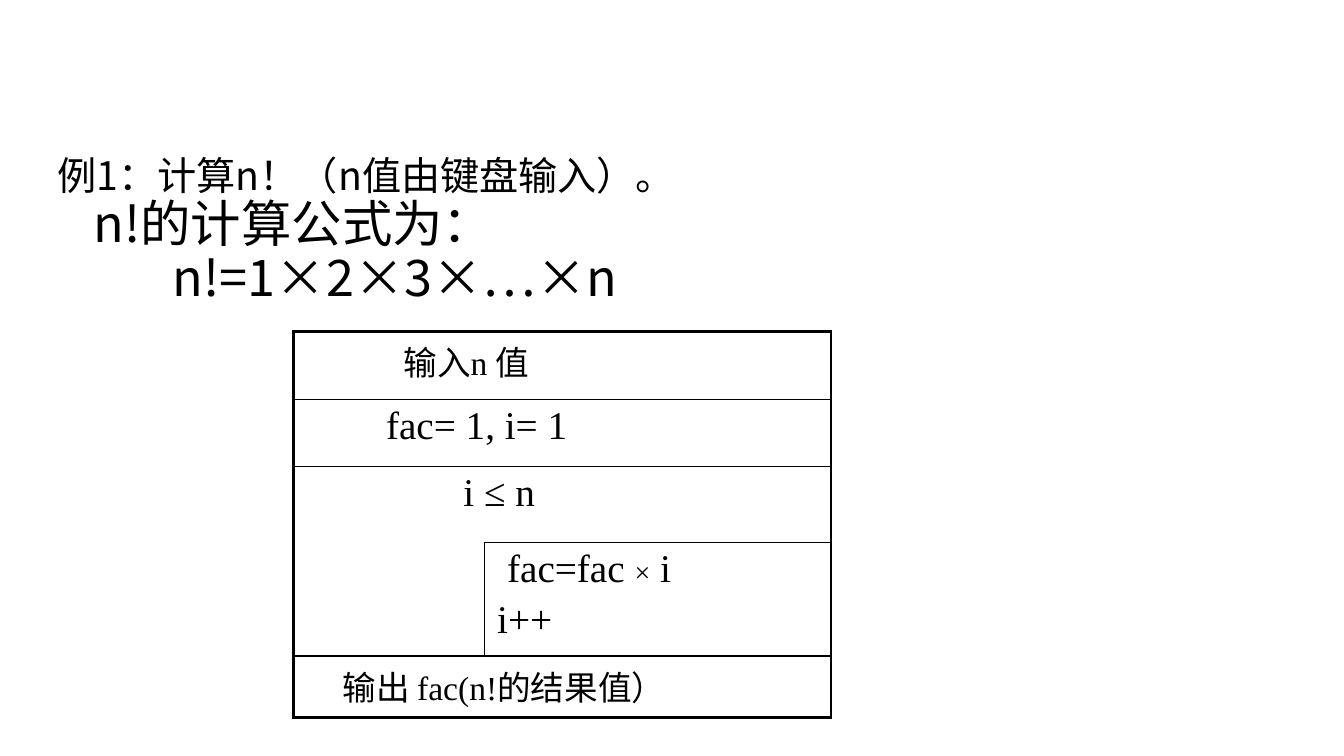
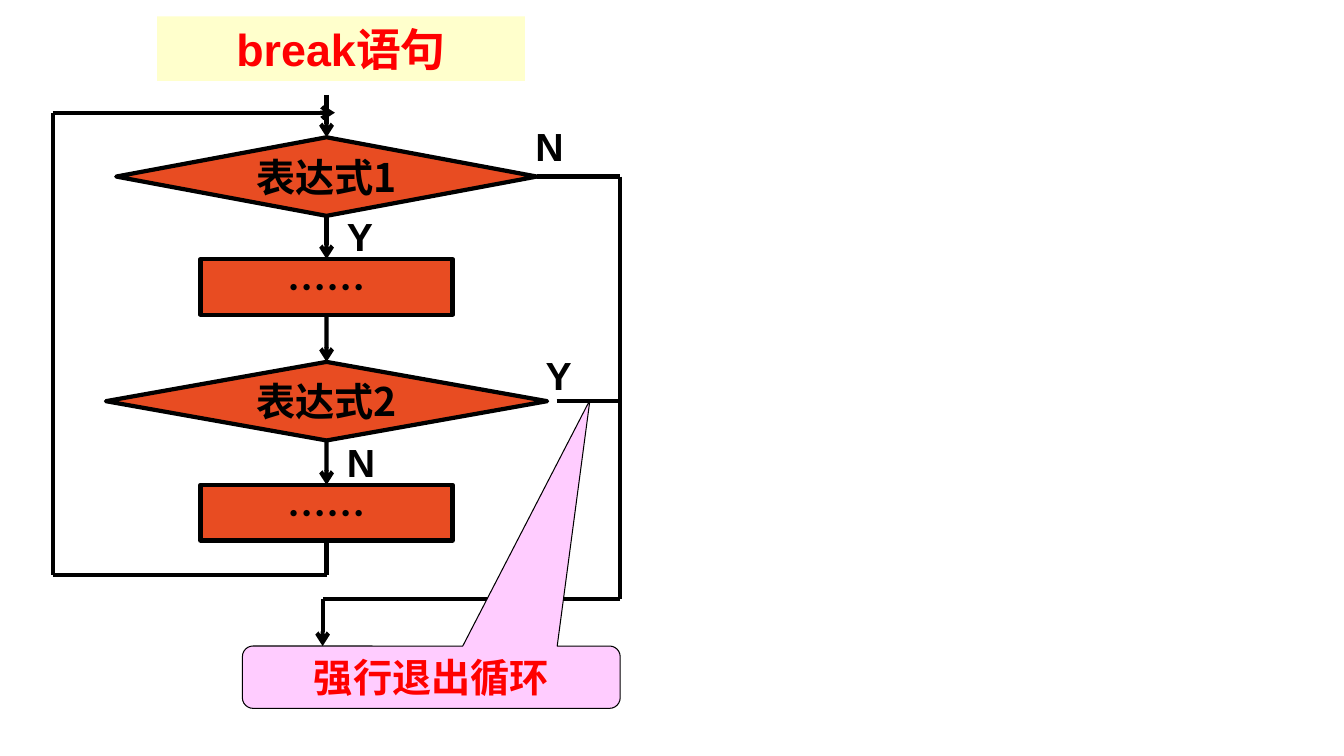
import pptx
import pptx.util
import pptx.dml.color
import pptx.enum.shapes
import pptx.enum.text
import pptx.oxml
import pptx.oxml.ns
import lxml.etree

Cm, Pt = pptx.util.Cm, pptx.util.Pt
SHAPE = pptx.enum.shapes.MSO_SHAPE
ALIGN = pptx.enum.text.PP_ALIGN
ANCHOR = pptx.enum.text.MSO_ANCHOR
FIT = pptx.enum.text.MSO_AUTO_SIZE

COLORS = {"ink": "000000", "red": "FF0000", "step": "E84C22",
          "band": "FFFFCC", "note": "FFCCFF"}
SANS, LATIN, SERIF = "Noto Sans CJK SC", "Arial", "Times New Roman"
THICK, THIN = 2.25, 1


def rgb(name):
    return pptx.dml.color.RGBColor.from_string(COLORS[name])


def sub(parent, tag, **attrs):
    return lxml.etree.SubElement(parent, pptx.oxml.ns.qn(tag), attrs)


def add_run(para, text, size, face, color="ink", bold=False):
    run = para.add_run()
    run.text = text
    font = run.font
    font.size, font.bold, font.name = Pt(size), bold, face
    font.color.rgb = rgb(color)
    sub(font._element, "a:ea", typeface=SANS)


def indent(para, left):
    props = para._p.get_or_add_pPr()
    props.set("marL", str(Cm(left)))
    props.set("indent", "0")
    return props


def place(shape, left, top, width, height):
    shape.left, shape.top = Cm(left), Cm(top)
    shape.width, shape.height = Cm(width), Cm(height)


# ---- Slide 1: formula and structure chart ----

def fill_body(body, box):
    place(body, *box)
    frame = body.text_frame
    frame.auto_size = FIT.NONE
    lines = [("例1：计算n！（n值由键盘输入）。", 28, 0, 10),
             ("n!的计算公式为：", 36, 0.9, 0),
             ("n!=1×2×3×…×n", 36, 2.9, 0)]
    for i, (text, size, left, before) in enumerate(lines):
        para = frame.add_paragraph() if i else frame.paragraphs[0]
        para.line_spacing, para.space_before = 0.9, Pt(before)
        add_run(para, text, size, SANS)
        sub(indent(para, left), "a:buNone")


def set_edges(cell, widths):
    """Draw left, right, top and bottom edges; a width of 0 hides one."""
    props = cell._tc.get_or_add_tcPr()
    for i, (side, width) in enumerate(zip("LRTB", widths)):
        line = pptx.oxml.parse_xml(
            f'<a:ln{side} {pptx.oxml.ns.nsdecls("a")} w="{int(Pt(width))}"/>')
        if width:
            fill = sub(line, "a:solidFill")
            sub(fill, "a:srgbClr", val=COLORS["ink"])
        else:
            sub(line, "a:noFill")
        props.insert(i, line)


def fill_cell(cell, paras):
    frame = cell.text_frame
    for i, (left, runs) in enumerate(paras):
        para = frame.add_paragraph() if i else frame.paragraphs[0]
        para.space_before = Pt(0.2 * runs[0][1])
        indent(para, left)
        for text, size in runs:
            add_run(para, text, size, SERIF)


def add_chart_table(slide, box):
    """Nassi-Shneiderman chart of the loop."""
    rows = [
        [(2.44, [("输入n 值", 24)])],
        [(2, [("fac= 1, i= 1", 28)])],
        [(3.95, [("i ≤ n", 28)])],
        [(0.25, [("fac=fac ", 28), ("×", 20), (" i", 28)]),
         (0, [("i++", 28)])],
        [(0.9, [("输出 fac(n!的结果值）", 24)])],
    ]
    loop, last = 3, len(rows) - 1
    table = slide.shapes.add_table(len(rows), 2, *map(Cm, box)).table
    table.first_row = table.horz_banding = False
    for col, width in zip(table.columns, (4.8, 8.74)):
        col.width = Cm(width)
    for row, height in zip(table.rows, (1.7, 1.7, 1.9, 2.87, 1.55)):
        row.height = Cm(height)
    for r, paras in enumerate(rows):
        if r != loop:
            table.cell(r, 0).merge(table.cell(r, 1))
        for c in range(2):
            cell = table.cell(r, c)
            cell.fill.background()
            cell.margin_left = cell.margin_right = Cm(0.33)
            cell.margin_top = cell.margin_bottom = Cm(0.13)
            split = r == loop
            set_edges(cell, (
                THIN if split and c == 1 else THICK,
                THIN if split and c == 0 else THICK,
                THICK if r == 0 else 0 if split and c == 0 else THIN,
                THICK if r == last else 0 if r == loop - 1 else THIN))
        fill_cell(table.cell(r, 1 if r == loop else 0), paras)


def build_formula(deck):
    slide = deck.slides.add_slide(deck.slide_layouts[1])
    title = slide.shapes.title
    title._element.getparent().remove(title._element)
    fill_body(slide.placeholders[1], (1.2, 3.81, 31.9, 15.24))
    add_chart_table(slide, (7.4, 8.36, 13.54, 9.72))


# ---- Slide 2: break statement ----

def set_title(slide, text, box):
    title = slide.shapes.title
    place(title, *box)
    title.fill.solid()
    title.fill.fore_color.rgb = rgb("band")
    frame = title.text_frame
    frame.auto_size, frame.vertical_anchor = FIT.NONE, ANCHOR.MIDDLE
    para = frame.paragraphs[0]
    para.alignment = ALIGN.CENTER
    add_run(para, text, 32, LATIN, "red", True)


def add_node(slide, kind, box, text, fill="step", color="ink", weight=3):
    node = slide.shapes.add_shape(kind, *map(Cm, box))
    node.shadow.inherit = False
    node.fill.solid()
    node.fill.fore_color.rgb = rgb(fill)
    node.line.color.rgb = rgb("ink")
    node.line.width = Pt(weight)
    frame = node.text_frame
    frame.word_wrap, frame.vertical_anchor = False, ANCHOR.MIDDLE
    frame.margin_left = frame.margin_right = 0
    frame.margin_top = frame.margin_bottom = 0
    para = frame.paragraphs[0]
    para.alignment = ALIGN.CENTER
    add_run(para, text, 28, SANS, color, True)
    return node


def add_label(slide, text, left, top):
    label = slide.shapes.add_textbox(Cm(left), Cm(top), Cm(1.85), Cm(1.45))
    label.text_frame.word_wrap = True
    add_run(label.text_frame.paragraphs[0], text, 28, LATIN, bold=True)


def add_wire(slide, start, end, arrow=False):
    """Join two ends, each a point in cm or a (shape, site) pair."""
    ends = [start, end]
    points = [(0, 0) if hasattr(e[0], "shape_id") else e for e in ends]
    (x1, y1), (x2, y2) = points
    wire = slide.shapes.add_connector(
        pptx.enum.shapes.MSO_CONNECTOR.STRAIGHT,
        Cm(x1), Cm(y1), Cm(x2), Cm(y2))
    for e, join in zip(ends, (wire.begin_connect, wire.end_connect)):
        if hasattr(e[0], "shape_id"):
            join(*e)
    wire.line.color.rgb = rgb("ink")
    wire.line.width = Pt(3)
    if arrow:
        sub(wire.line._get_or_add_ln(), "a:tailEnd", type="arrow")
    sub(wire._element.spPr, "a:effectLst")


def add_path(slide, *stops):
    """Chain of wires with an arrow at the last stop."""
    for i in range(len(stops) - 1):
        add_wire(slide, stops[i], stops[i + 1], i == len(stops) - 2)


def add_flow(slide, axis, top):
    """Flow chart centred on a vertical axis."""
    def at(x, y):
        return axis + x, top + y

    nodes = []
    for kind, y, width, height, text in (
            (SHAPE.FLOWCHART_DECISION, 1.07, 10.6, 1.98, "表达式1"),
            (SHAPE.FLOWCHART_PROCESS, 4.14, 6.35, 1.4, "……"),
            (SHAPE.FLOWCHART_DECISION, 6.73, 11.12, 1.98, "表达式2"),
            (SHAPE.FLOWCHART_PROCESS, 9.83, 6.35, 1.4, "……")):
        box = (*at(-width / 2, y), width, height)
        nodes.append(add_node(slide, kind, box, text))
    first, last = nodes[0], nodes[-1]

    add_wire(slide, at(0, 0), (first, 0), True)
    for upper, lower in zip(nodes, nodes[1:]):
        add_wire(slide, (upper, 2), (lower, 0), True)
    back, out = -6.9, 7.4
    add_path(slide, (last, 2), at(0, 12.09), at(back, 12.09),
             at(back, 0.45), at(0.21, 0.45))
    add_path(slide, (first, 3), at(out, 2.06), at(out, 12.7),
             at(-0.1, 12.7), at(-0.1, 13.89))
    add_wire(slide, at(5.8, 7.72), at(out, 7.72))

    for text, x, y in (("N", 5.01, 0.58), ("Y", 0.26, 2.84),
                       ("Y", 5.27, 6.35), ("N", 0.26, 8.53)):
        add_label(slide, text, *at(x, y))

    note = add_node(slide, SHAPE.ROUNDED_RECTANGULAR_CALLOUT,
                    (*at(-2.12, 13.89), 9.52, 1.57), "强行退出循环",
                    "note", "red", 0.75)
    for i, value in enumerate((0.42, -4.45, 0.17)):
        note.adjustments[i] = value


def build_break(deck):
    slide = deck.slides.add_slide(deck.slide_layouts[5])
    set_title(slide, "break语句", (3.96, 0.41, 9.27, 1.63))
    add_flow(slide, 8.23, 2.39)


def main():
    deck = pptx.Presentation()
    deck.slide_width, deck.slide_height = Cm(33.87), Cm(19.05)
    build_formula(deck)
    build_break(deck)
    deck.save("out.pptx")


if __name__ == "__main__":
    main()
